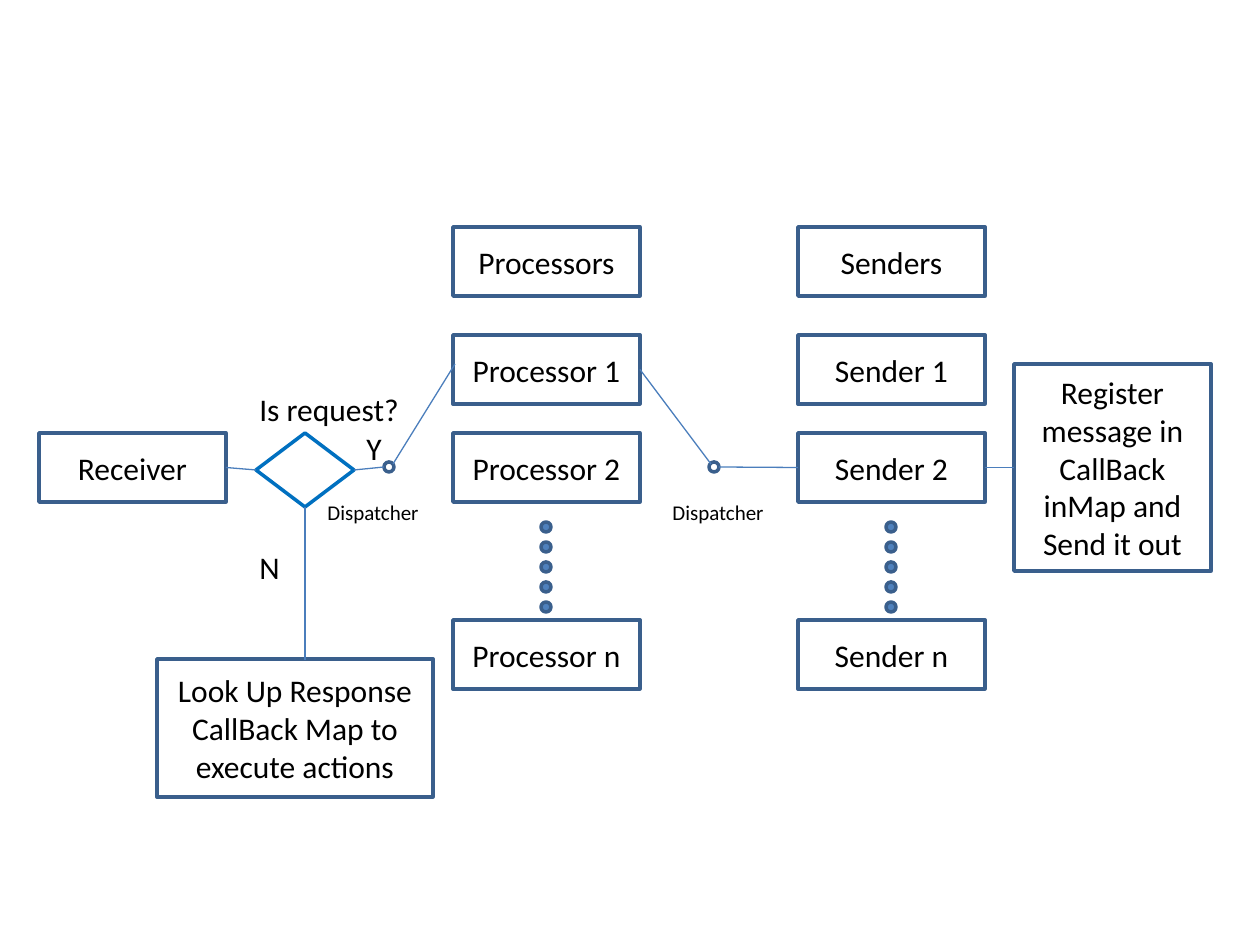
from typing import NamedTuple, Optional

from pptx import Presentation
from pptx import util as u
from pptx.dml.color import RGBColor
from pptx.enum import shapes, text
from pptx.oxml import parse_xml
from pptx.oxml.ns import nsdecls

PX = u.Inches(1) / 126
WHITE, BLACK, NAVY = "FFFFFF", "000000", "3A5F8C"
BLUE, WIRE, SKY = "4F81BD", "4B7EBC", "0070C0"
Kind = shapes.MSO_SHAPE
TOP, LEFT, BOTTOM, RIGHT = range(4)

BOX_W, BOX_H = 187, 69
HEAD_Y, FIRST_Y, MID_Y, LAST_Y = 227, 335, 433, 620
DOT, DOT_Y, DOT_GAP, DOTS = 10, 522, 20, 5
NODE_Y = 462


class Box(NamedTuple):
    x: int
    y: int
    w: int = BOX_W
    h: int = BOX_H
    words: str = ""
    kind: Kind = Kind.RECTANGLE
    fill: str = WHITE
    edge: str = NAVY


class Label(NamedTuple):
    x: int
    y: int
    w: int
    h: int
    words: str
    size: int = 18
    wrap: bool = False


class Column(NamedTuple):
    x: int
    title: str
    name: str


class Wire(NamedTuple):
    """A line; a joined end names its shape and side and overrides the point."""
    start: tuple = (0, 0)
    end: tuple = (0, 0)
    tail: Optional[tuple] = None
    head: Optional[tuple] = None


def px(n: float) -> u.Emu:
    return u.Emu(round(n * PX))


def rgb(code: str) -> RGBColor:
    return RGBColor.from_string(code)


def write(para, words: str, size: int) -> None:
    run = para.add_run()
    run.text = words
    run.font.name = "Calibri"
    run.font.size = u.Pt(size)
    run.font.color.rgb = rgb(BLACK)


def draw_box(slide, box: Box):
    shape = slide.shapes.add_shape(
        box.kind, px(box.x), px(box.y), px(box.w), px(box.h))
    shape.shadow.inherit = False
    shape.fill.solid()
    shape.fill.fore_color.rgb = rgb(box.fill)
    shape.line.color.rgb = rgb(box.edge)
    shape.line.width = u.Pt(2)
    if box.words:
        frame = shape.text_frame
        frame.vertical_anchor = text.MSO_ANCHOR.MIDDLE
        para = frame.paragraphs[0]
        para.alignment = text.PP_ALIGN.CENTER
        write(para, box.words, 18)
    return shape


def draw_label(slide, label: Label) -> None:
    shape = slide.shapes.add_textbox(
        px(label.x), px(label.y), px(label.w), px(label.h))
    frame = shape.text_frame
    frame.word_wrap = label.wrap
    frame.auto_size = text.MSO_AUTO_SIZE.SHAPE_TO_FIT_TEXT
    write(frame.paragraphs[0], label.words, label.size)


def draw_wire(slide, wire: Wire) -> None:
    line = slide.shapes.add_connector(
        shapes.MSO_CONNECTOR.STRAIGHT, *map(px, wire.start + wire.end))
    if wire.tail:
        line.begin_connect(*wire.tail)
    if wire.head:
        line.end_connect(*wire.head)
    line.line.color.rgb = rgb(WIRE)
    line.line.width = u.Pt(0.75)
    line._element.spPr.append(parse_xml(f"<a:effectLst {nsdecls('a')}/>"))


def draw_column(slide, col: Column) -> list:
    """Draw title, boxes and dots; return the three numbered boxes."""
    draw_box(slide, Box(col.x, HEAD_Y, words=col.title))
    for i in range(DOTS):
        draw_box(slide, Box(col.x + (BOX_W - DOT) // 2, DOT_Y + i * DOT_GAP,
                            DOT, DOT, kind=Kind.OVAL, fill=BLUE))
    rows = zip((FIRST_Y, MID_Y, LAST_Y), "12n")
    return [draw_box(slide, Box(col.x, y, words=f"{col.name} {mark}"))
            for y, mark in rows]


def main() -> None:
    deck = Presentation()
    deck.slide_width, deck.slide_height = u.Inches(10), u.Inches(7.5)
    slide = deck.slides.add_slide(deck.slide_layouts[6])

    source = draw_box(slide, Box(39, MID_Y, words="Receiver"))
    procs = draw_column(slide, Column(453, "Processors", "Processor"))
    sends = draw_column(slide, Column(798, "Senders", "Sender"))
    for x in (384, 709):
        draw_box(slide, Box(x, NODE_Y, DOT, DOT, kind=Kind.OVAL))
    check = draw_box(slide, Box(256, MID_Y, 98, 74, edge=SKY,
                                kind=Kind.FLOWCHART_DECISION))
    draw_box(slide, Box(157, 659, 276, 138,
                        "Look Up Response CallBack Map to execute actions"))
    store = draw_box(slide, Box(
        1014, 364, 197, 207,
        "Register message in CallBack inMap and Send it out"))

    for wire in (
        Wire(tail=(source, RIGHT), head=(check, LEFT)),
        Wire(tail=(check, RIGHT), end=(384, 467)),
        Wire(tail=(check, BOTTOM), end=(305, 660)),
        Wire(start=(393, 464), end=(455, 364)),
        Wire(tail=(procs[0], RIGHT), end=(711, 464)),
        Wire(start=(719, 467), head=(sends[1], LEFT)),
        Wire(tail=(sends[1], RIGHT), head=(store, LEFT)),
    ):
        draw_wire(slide, wire)

    for label in (
        Label(315, 493, 118, 38, "Dispatcher", 12, True),
        Label(660, 493, 118, 38, "Dispatcher", 12, True),
        Label(247, 384, 166, 50, "Is request?"),
        Label(247, 542, 45, 50, "N"),
        Label(354, 423, 40, 50, "Y"),
    ):
        draw_label(slide, label)

    deck.save("out.pptx")


if __name__ == "__main__":
    main()
